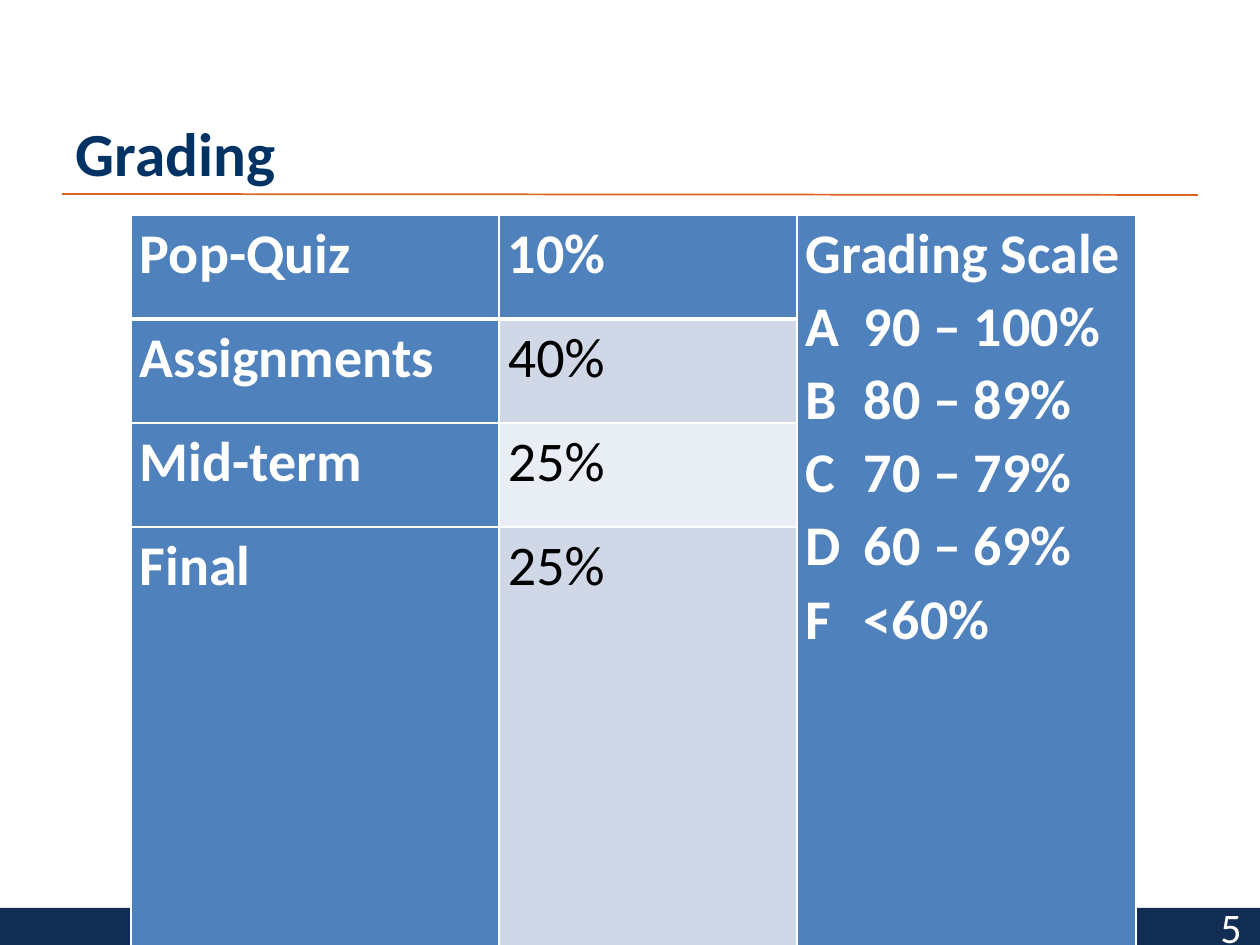
"""Build the course grading slide."""
from dataclasses import dataclass

from lxml import etree
from pptx import Presentation
from pptx.dml.color import RGBColor
from pptx.enum.shapes import MSO_CONNECTOR, MSO_SHAPE
from pptx.enum.text import MSO_ANCHOR, MSO_AUTO_SIZE, PP_ALIGN
from pptx.oxml.ns import qn
from pptx.util import Emu, Pt

EMU_PER_PX = 914400 / 126
TITLE_ONLY = 5
STRAIGHT = MSO_CONNECTOR.STRAIGHT
RECTANGLE = MSO_SHAPE.RECTANGLE
LEFT, RIGHT = PP_ALIGN.LEFT, PP_ALIGN.RIGHT
TOP, MIDDLE, BOTTOM = MSO_ANCHOR.TOP, MSO_ANCHOR.MIDDLE, MSO_ANCHOR.BOTTOM
NO_FIT = MSO_AUTO_SIZE.NONE


@dataclass(frozen=True)
class Theme:
    """Colours, font and type sizes of the deck."""
    font: str = "Calibri"
    title: str = "003263"
    rule: str = "DE6224"
    footer: str = "112D53"
    accent: str = "4F81BD"
    bands: tuple = ("E9EDF4", "D0D8E8")
    light: str = "FFFFFF"
    dark: str = "000000"
    title_size: int = 35
    table_size: int = 32
    number_size: int = 24


def px(length):
    """Turn pixels into EMU."""
    return Emu(round(length * EMU_PER_PX))


def write(frame, text, *, font, size, color, bold=False, align=LEFT,
          spacing=None, tab=None):
    """Fill a text frame with one formatted paragraph per line of text."""
    for index, line in enumerate(text.split("\n")):
        para = frame.add_paragraph() if index else frame.paragraphs[0]
        para.alignment = align
        para.line_spacing = spacing
        if tab:
            stops = etree.SubElement(para._p.get_or_add_pPr(), qn("a:tabLst"))
            etree.SubElement(stops, qn("a:tab"), pos=str(px(tab)), algn="l")
        span = para.add_run()
        span.text = line
        span.font.name = font
        span.font.size = Pt(size)
        span.font.bold = bold
        span.font.color.rgb = RGBColor.from_string(color)


def border(cell, edge, color, points):
    """Draw one edge of a table cell."""
    line = etree.SubElement(cell._tc.get_or_add_tcPr(), qn(f"a:ln{edge}"), w=str(Pt(points)))
    fill = etree.SubElement(line, qn("a:solidFill"))
    etree.SubElement(fill, qn("a:srgbClr"), val=color)


class SlideBuilder:
    """Place themed elements on the current slide."""

    def __init__(self, slide, theme):
        self.slide = slide
        self.theme = theme

    def title(self, text, left, top, width, height):
        """Move and fill the title placeholder."""
        box = self.slide.shapes.title
        box.left, box.top, box.width, box.height = map(px, (left, top, width, height))
        frame = box.text_frame
        frame.auto_size = NO_FIT
        frame.vertical_anchor = BOTTOM
        write(frame, text, font=self.theme.font, size=self.theme.title_size,
              color=self.theme.title, bold=True)

    def rule(self, *ends):
        """Draw the line under the title."""
        line = self.slide.shapes.add_connector(STRAIGHT, *map(px, ends))
        line.line.color.rgb = RGBColor.from_string(self.theme.rule)
        line.line.width = Pt(1)
        etree.SubElement(line._element.spPr, qn("a:effectLst"))

    def footer(self, *bounds):
        """Draw the footer bar."""
        bar = self.slide.shapes.add_shape(RECTANGLE, *map(px, bounds))
        bar.shadow.inherit = False
        bar.fill.solid()
        bar.fill.fore_color.rgb = RGBColor.from_string(self.theme.footer)
        bar.line.fill.background()

    def number(self, text, *bounds):
        """Write the slide number."""
        frame = self.slide.shapes.add_textbox(*map(px, bounds)).text_frame
        frame.word_wrap = True
        frame.vertical_anchor = MIDDLE
        write(frame, text, font=self.theme.font, size=self.theme.number_size,
              color=self.theme.light, align=RIGHT)

    def table(self, weights, scale, left, top, widths, heights):
        """Add the weights with the grading scale merged down the last column."""
        theme = self.theme
        table = self.slide.shapes.add_table(
            len(heights), len(widths), px(left), px(top),
            px(sum(widths)), px(sum(heights))).table
        for column, width in zip(table.columns, widths):
            column.width = px(width)
        for row, height in zip(table.rows, heights):
            row.height = px(height)
        last = len(widths) - 1
        table.cell(0, last).merge(table.cell(len(heights) - 1, last))
        for row, (label, share) in enumerate(weights):
            for column, text in enumerate((label, share, "" if row else scale)):
                cell = table.cell(row, column)
                strong = row == 0 or column != 1
                for edge in "LRTB":
                    heavy = (row, edge) in ((0, "B"), (1, "T"))
                    border(cell, edge, theme.light, 3 if heavy else 1)
                cell.fill.solid()
                cell.fill.fore_color.rgb = RGBColor.from_string(
                    theme.accent if strong else theme.bands[row % 2])
                cell.margin_left = cell.margin_right = px(9)
                cell.margin_top = cell.margin_bottom = 0
                cell.vertical_anchor = TOP
                if text:
                    write(cell.text_frame, text, font=theme.font,
                          size=theme.table_size, bold=strong, spacing=1.07,
                          color=theme.light if strong else theme.dark,
                          tab=58 if column == last else None)


def main():
    """Build and save the deck."""
    deck = Presentation()
    deck.slide_width, deck.slide_height = px(1260), px(945)
    page = SlideBuilder(deck.slides.add_slide(deck.slide_layouts[TITLE_ONLY]), Theme())
    page.rule(62, 194, 1198, 195)
    page.footer(0, 908, 1262, 37)
    page.title("Grading", 63, 38, 803, 157)
    page.number("5", 970, 908, 284, 37)
    weights = [("Pop-Quiz", "10%"), ("Assignments", "40%"),
               ("Mid-term", "25%"), ("Final", "25%")]
    scale = "\n".join(["Grading Scale", "A\t90 – 100%", "B\t80 – 89%",
                       "C\t70 – 79%", "D\t60 – 69%", "F\t<60%"])
    page.table(weights, scale, 131, 215, [368, 298, 339], [104, 104, 104, 236])
    deck.save("out.pptx")


if __name__ == "__main__":
    main()
